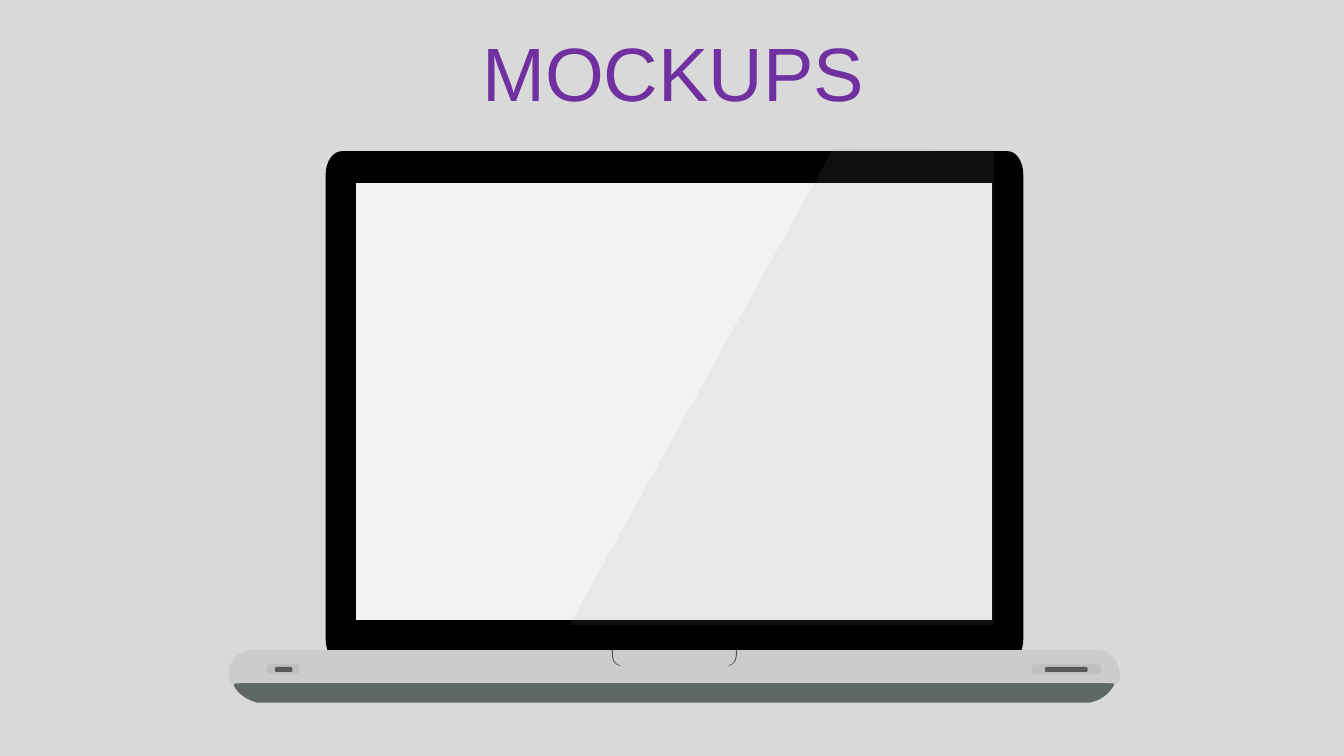
from dataclasses import dataclass
from itertools import chain
from typing import NamedTuple

from lxml.etree import SubElement
from pptx import Presentation
from pptx.dml.color import RGBColor
from pptx.enum.shapes import MSO_SHAPE
from pptx.enum.text import MSO_ANCHOR, PP_ALIGN
from pptx.oxml.ns import qn
from pptx.shapes.autoshape import Shape
from pptx.shapes.group import GroupShape
from pptx.slide import Slide
from pptx.util import Pt

# A step holds one point for a line, or two controls and an end for a curve
Step = tuple[float, ...]


@dataclass(frozen=True)
class Theme:
    backdrop: str = "D9D9D9"
    title: str = "7030A0"
    foot: str = "5F6767"
    bezel: str = "000000"
    screen: str = "F2F2F2"
    deck: str = "CCCCCC"
    notch: str = "4D4D4D"
    port: str = "BFBFBF"
    slot: str = "595959"
    glare: str = "999999"
    glare_opacity: int = 10
    font: str = "Arial"
    title_size: int = 54


@dataclass(frozen=True)
class Part:
    color: str
    contours: list[list[Step]]
    opacity: int = 100


class Pill(NamedTuple):
    left: float
    top: float
    width: float
    height: float
    color: str


THEME = Theme()
LAPTOP_CENTER = 481.75

NOTCH_RIGHT: list[Step] = [
    (525.6, 464.4), (526.4, 464.4), (527, 473.8, 522.7, 475.4, 520.6, 475.4),
    (519.8, 475.2), (521.3, 475), (523.4, 474.5, 526.3, 472.3, 525.6, 464.4),
]


def mirror(contour: list[Step]) -> list[Step]:
    """Reflect a contour in the laptop's vertical axis."""
    return [
        tuple(v if i % 2 else 2 * LAPTOP_CENTER - v for i, v in enumerate(step))
        for step in contour
    ]


# Laptop body, from back to front
FOOT = Part(THEME.foot, [[
    (778.3, 501.8), (778.3, 501.8, 790.6, 500.4, 796.3, 488.2),
    (796.3, 484.6, 793.4, 481.7, 789.8, 481.7), (181.4, 483.8), (173.5, 483.8),
    (169.9, 483.8, 167, 486, 167, 489.6),
    (170.6, 497.5, 180, 500.9, 183.6, 501.8), (185.8, 501.8),
]])
BEZEL = Part(THEME.bezel, [[
    (730.9, 456.5), (730.9, 465.8, 725.8, 473.8, 720, 473.8),
    (244.1, 473.8), (237.6, 473.8, 232.6, 465.8, 232.6, 456.5),
    (232.6, 124.6), (232.6, 115.9, 237.6, 108, 244.1, 108),
    (720, 108), (725.8, 108, 730.9, 115.2, 730.9, 124.6),
]])
SCREEN = Part(THEME.screen, [[
    (254.2, 130.5), (708.8, 130.5), (708.8, 442.8), (254.2, 442.8),
]])
DECK = Part(THEME.deck, [[
    (180, 464.4), (784.1, 464.4), (792.7, 464.4, 799.9, 472.3, 799.9, 482.4),
    (799.9, 486), (799.9, 486, 800.6, 488.9, 794.2, 488.2), (792.7, 488),
    (172.1, 488), (168.5, 488.2), (167, 488.9, 163.4, 488.9, 163.4, 485.3),
    (163.4, 481.7), (163.4, 471.6, 170.6, 464.4, 180, 464.4),
]])
NOTCH = Part(THEME.notch, [NOTCH_RIGHT, mirror(NOTCH_RIGHT)])
GLARE = Part(THEME.glare, [[
    (595.4, 105.8), (709.9, 106.6), (709.9, 446.4), (406.8, 446.4),
]], THEME.glare_opacity)

PORTS = [
    Pill(190.8, 474.6, 23, 7.2, THEME.port),
    Pill(196.4, 476.4, 12.4, 3.6, THEME.slot),
    Pill(737.2, 474.6, 49, 7.2, THEME.port),
    Pill(746.5, 476.4, 30.4, 3.6, THEME.slot),
]


def paint(shape: Shape, color: str, opacity: int = 100) -> None:
    shape.shadow.inherit = False
    shape.fill.solid()
    shape.fill.fore_color.rgb = RGBColor.from_string(color)
    shape.line.fill.background()
    if opacity < 100:
        tint = shape.fill._xPr.find(qn("a:solidFill"))[0]
        SubElement(tint, qn("a:alpha")).set("val", str(opacity * 1000))


def bend(shape: Shape, steps: list[Step], left: int, top: int) -> None:
    """Give each curved step its two control points."""
    drawn = list(shape._element.iter(qn("a:moveTo"), qn("a:lnTo")))
    for segment, step in zip(drawn, steps):
        if len(step) == 2:
            continue
        segment.tag = qn("a:cubicBezTo")
        for i in (0, 2):
            control = segment.makeelement(qn("a:pt"), {
                "x": str(Pt(step[i]) - left), "y": str(Pt(step[i + 1]) - top)})
            segment.insert(i // 2, control)


def draw_part(laptop: GroupShape, part: Part) -> None:
    ends = [[(Pt(s[-2]), Pt(s[-1])) for s in contour] for contour in part.contours]
    builder = laptop.shapes.build_freeform(*ends[0][0])
    for index, outline in enumerate(ends):
        if index:
            builder.move_to(*outline[0])
        builder.add_line_segments(outline[1:], close=True)
    shape = builder.convert_to_shape()
    bend(shape, list(chain.from_iterable(part.contours)),
         builder.shape_offset_x, builder.shape_offset_y)
    paint(shape, part.color, part.opacity)


def draw_pill(laptop: GroupShape, pill: Pill) -> None:
    shape = laptop.shapes.add_shape(
        MSO_SHAPE.ROUNDED_RECTANGLE,
        Pt(pill.left), Pt(pill.top), Pt(pill.width), Pt(pill.height))
    shape.adjustments[0] = 0.28
    paint(shape, pill.color)


def draw_title(slide: Slide, wording: str) -> None:
    frame = slide.shapes.add_textbox(Pt(25.2), Pt(26.6), Pt(911.5), Pt(56.9)).text_frame
    frame.word_wrap = True
    frame.vertical_anchor = MSO_ANCHOR.MIDDLE
    heading = frame.paragraphs[0]
    heading.alignment = PP_ALIGN.CENTER
    heading.line_spacing = 0.9
    heading.space_before = Pt(10)
    run = heading.add_run()
    run.text = wording
    run.font.name = THEME.font
    run.font.size = Pt(THEME.title_size)
    run.font.color.rgb = RGBColor.from_string(THEME.title)


def main() -> None:
    deck = Presentation()
    deck.slide_width, deck.slide_height = Pt(960), Pt(540)
    slide = deck.slides.add_slide(deck.slide_layouts[6])
    slide.background.fill.solid()
    slide.background.fill.fore_color.rgb = RGBColor.from_string(THEME.backdrop)

    draw_title(slide, "MOCKUPS")

    # Laptop: body, ports, then the reflection on top
    laptop = slide.shapes.add_group_shape()
    for part in (FOOT, BEZEL, SCREEN, DECK, NOTCH):
        draw_part(laptop, part)
    for pill in PORTS:
        draw_pill(laptop, pill)
    draw_part(laptop, GLARE)

    deck.save("out.pptx")


if __name__ == "__main__":
    main()
